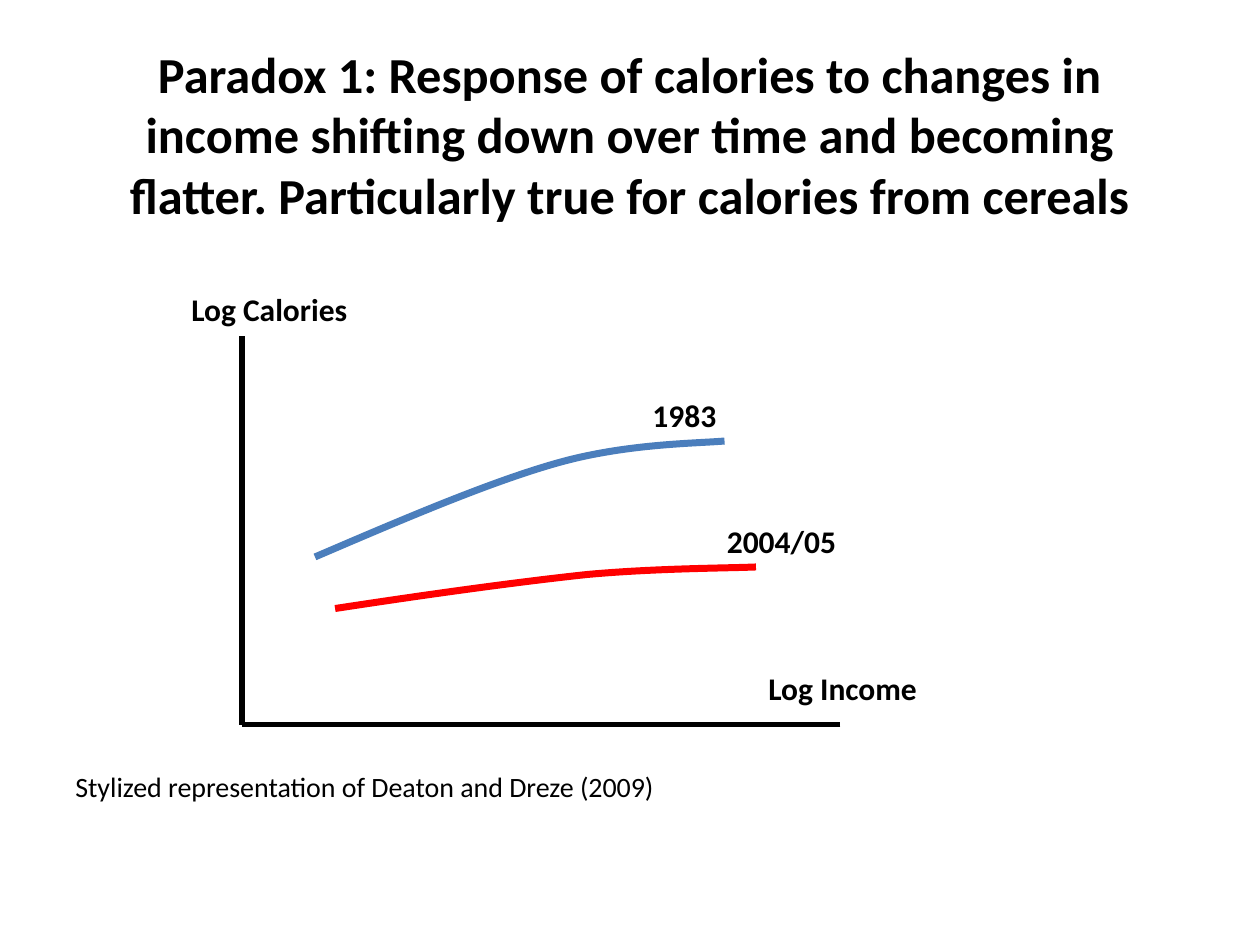
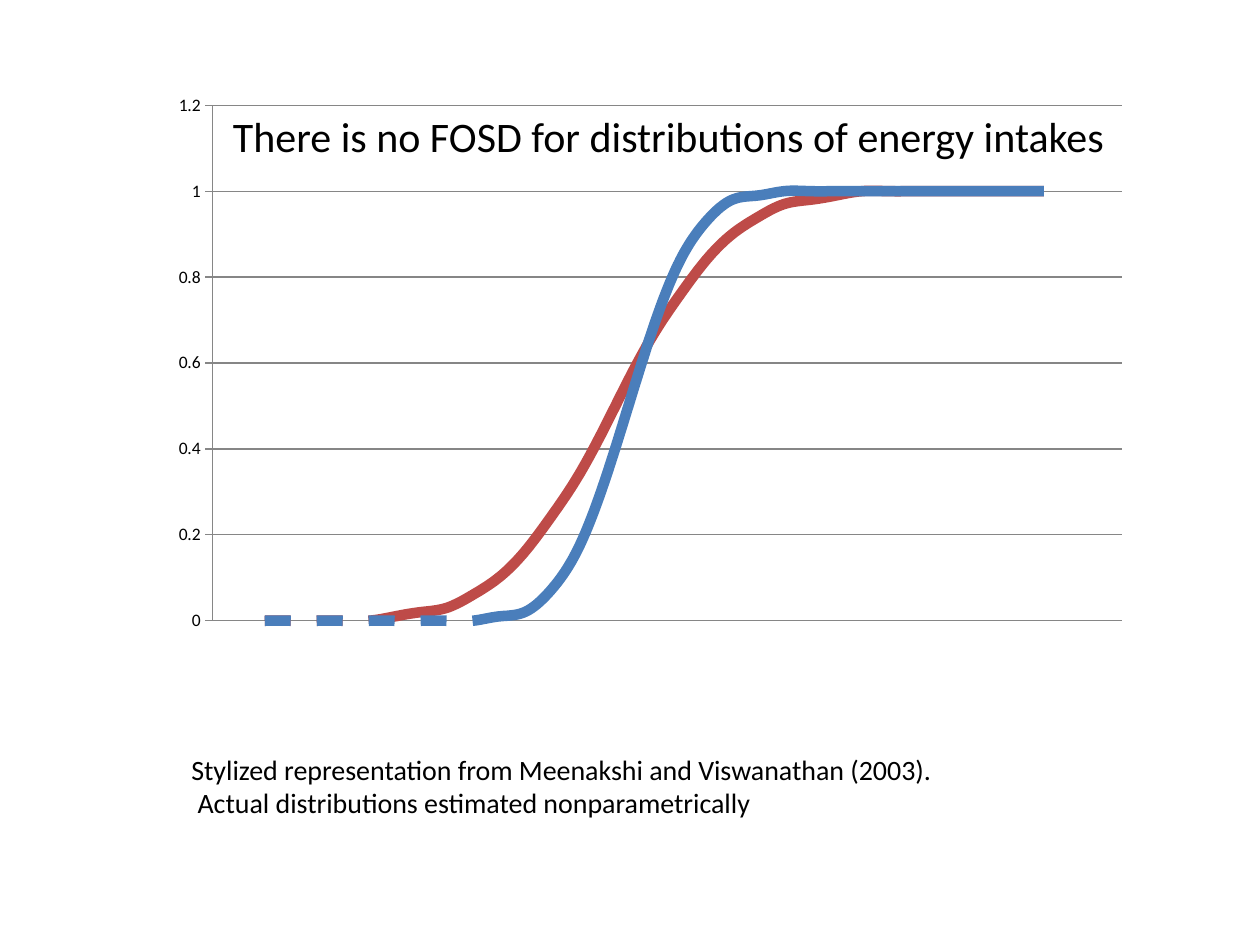
from math import erf, sqrt
from lxml import etree
from pptx import Presentation
from pptx.chart.data import XyChartData
from pptx.dml.color import RGBColor as RGB
from pptx.enum.chart import XL_CHART_TYPE as Kind, XL_TICK_MARK as Tick
from pptx.enum.text import MSO_ANCHOR as Anchor, PP_ALIGN as Align
from pptx.enum.shapes import MSO_CONNECTOR as Link
from pptx.oxml.ns import qn
from pptx.util import Pt

PX = 9144  # EMU per px, 100 px to the inch
FONT = "Calibri"
COLORS = {"text": "000000", "blue": "4B7EBC", "red": "FF0000",
          "cdf blue": "4A7EBB", "cdf red": "BE4B48", "grid": "868686"}


def rgb(name):
    return RGB.from_string(COLORS[name])


def normal(x, mean, spread):
    return round((1 + erf((x - mean) / spread / sqrt(2))) / 2, 2)


class Deck:
    def __init__(self, wide, high):
        self.prs = Presentation()
        self.prs.slide_width, self.prs.slide_height = wide * PX, high * PX
        self.slide = None

    def page(self):
        self.slide = self.prs.slides.add_slide(self.prs.slide_layouts[6])

    def ink(self, line, color, width):
        line.color.rgb = rgb(color)
        line.width = Pt(width)

    def text(self, box, *lines, size=18, bold=False, align=Align.LEFT,
             anchor=Anchor.TOP, indent=0):
        """One paragraph per line; later lines are set in by the indent."""
        frame = self.slide.shapes.add_textbox(*(v * PX for v in box)).text_frame
        frame.word_wrap = True
        frame.vertical_anchor = anchor
        for n, line in enumerate(lines):
            para = frame.add_paragraph() if n else frame.paragraphs[0]
            para.alignment = align
            if n and indent:
                para._p.get_or_add_pPr().set("marL", str(indent * PX))
            run = para.add_run()
            run.text = line
            font = run.font
            font.name, font.size, font.bold = FONT, Pt(size), bold
            font.color.rgb = rgb("text")

    def line(self, start, end, width=3):
        link = self.slide.shapes.add_connector(
            Link.STRAIGHT, *(v * PX for v in start + end))
        self.ink(link.line, "text", width)
        etree.SubElement(link._element.spPr, qn("a:effectLst"))

    def curve(self, color, start, *points, width=4):
        """Joined cubic arcs; every three points are two handles and an end."""
        pen = self.slide.shapes.build_freeform(*start, scale=PX)
        pen.add_line_segments(points, close=False)
        shape = pen.convert_to_shape()
        shape.shadow.inherit = False
        shape.fill.background()
        self.ink(shape.line, color, width)
        outline = next(shape._element.iter(qn("a:path")))
        for n, step in enumerate(outline.findall(qn("a:lnTo"))):
            if n % 3 == 0:
                arc = etree.SubElement(outline, qn("a:cubicBezTo"))
            arc.append(step[0])
            outline.remove(step)

    def chart(self, box, xs, curves, plot):
        """Smooth scatter; curves hold name, colour, mean and spread."""
        data = XyChartData()
        for name, _, mean, spread in curves:
            series = data.add_series(name)
            for x in xs:
                series.add_data_point(x, normal(x, mean, spread))
        chart = self.slide.shapes.add_chart(
            Kind.XY_SCATTER_SMOOTH_NO_MARKERS, *(v * PX for v in box), data).chart
        chart.has_legend = chart.has_title = False
        chart.font.name, chart.font.size = FONT, Pt(10)
        chart.font.color.rgb = rgb("text")
        chart.plots[0].vary_by_categories = False
        for series, (_, color, _, _) in zip(chart.plots[0].series, curves):
            self.ink(series.format.line, color, 6)
            series._element.get_or_add_smooth().val = True

        # Axes
        across, up = chart.category_axis, chart.value_axis
        across.minimum_scale, across.maximum_scale = 500, 4000
        across.has_major_gridlines = False
        across.visible = False
        up.minimum_scale, up.maximum_scale, up.major_unit = 0, 1.2, 0.2
        up.major_tick_mark = Tick.CROSS
        up.has_major_gridlines = True
        up.tick_labels.number_format = "General"
        up.tick_labels.number_format_is_linked = False
        for part in (up, up.major_gridlines):
            self.ink(part.format.line, "grid", 0.75)

        # Fixed inner plot area, as shares of the chart
        area = chart._chartSpace.chart.plotArea
        for old in area.findall(qn("c:layout")):
            area.remove(old)
        layout = etree.Element(qn("c:layout"))
        area.insert(0, layout)
        manual = etree.SubElement(layout, qn("c:manualLayout"))
        marks = [("layoutTarget", "inner"), ("xMode", "edge"), ("yMode", "edge")]
        for tag, val in marks + list(zip("xywh", plot)):
            etree.SubElement(manual, qn("c:" + tag)).set("val", str(val))


def trend(deck):
    deck.page()
    deck.text((60, 29, 880, 154),
              "Paradox 1: Response of calories to changes in income shifting down "
              "over time and becoming flatter. Particularly true for calories "
              "from cereals",
              size=28.8, bold=True, align=Align.CENTER, anchor=Anchor.MIDDLE)
    deck.text((50, 606, 900, 40),
              "Stylized representation of Deaton and Dreze (2009)", size=16)

    # Axes
    root = (192, 575)
    for tip in ((192, 267), (667, 575)):
        deck.line(tip, root)

    # Income curves
    deck.curve("blue", (250, 442), (320, 412), (390, 382), (444, 367),
               (498, 352), (553, 352), (575, 350))
    deck.curve("red", (266, 483), (338, 472), (410, 462), (466, 456),
               (521, 451), (578, 451), (600, 450))

    # Labels
    for label, left, top, wide in (("Log Calories", 142, 225, 158),
                                   ("Log Income", 600, 526, 158),
                                   ("1983", 508, 309, 108),
                                   ("2004/05", 567, 409, 108)):
        deck.text((left, top, wide, 40), label, bold=True)


def spread(deck):
    deck.page()
    deck.chart((83, 66, 859, 440), range(700, 3701, 100),
               (("Series 1", "cdf blue", 2100, 200),
                ("Series 2", "cdf red", 2050, 350)),
               (0.1, 0.04, 0.84, 0.93))
    deck.text((175, 83, 742, 50),
              "There is no FOSD for distributions of energy intakes", size=24)
    deck.text((142, 592, 792, 64),
              "Stylized representation from Meenakshi and Viswanathan (2003).",
              "Actual distributions estimated nonparametrically",
              size=16, indent=5)


def main():
    deck = Deck(1000, 750)
    trend(deck)
    spread(deck)
    deck.prs.save("out.pptx")


if __name__ == "__main__":
    main()
